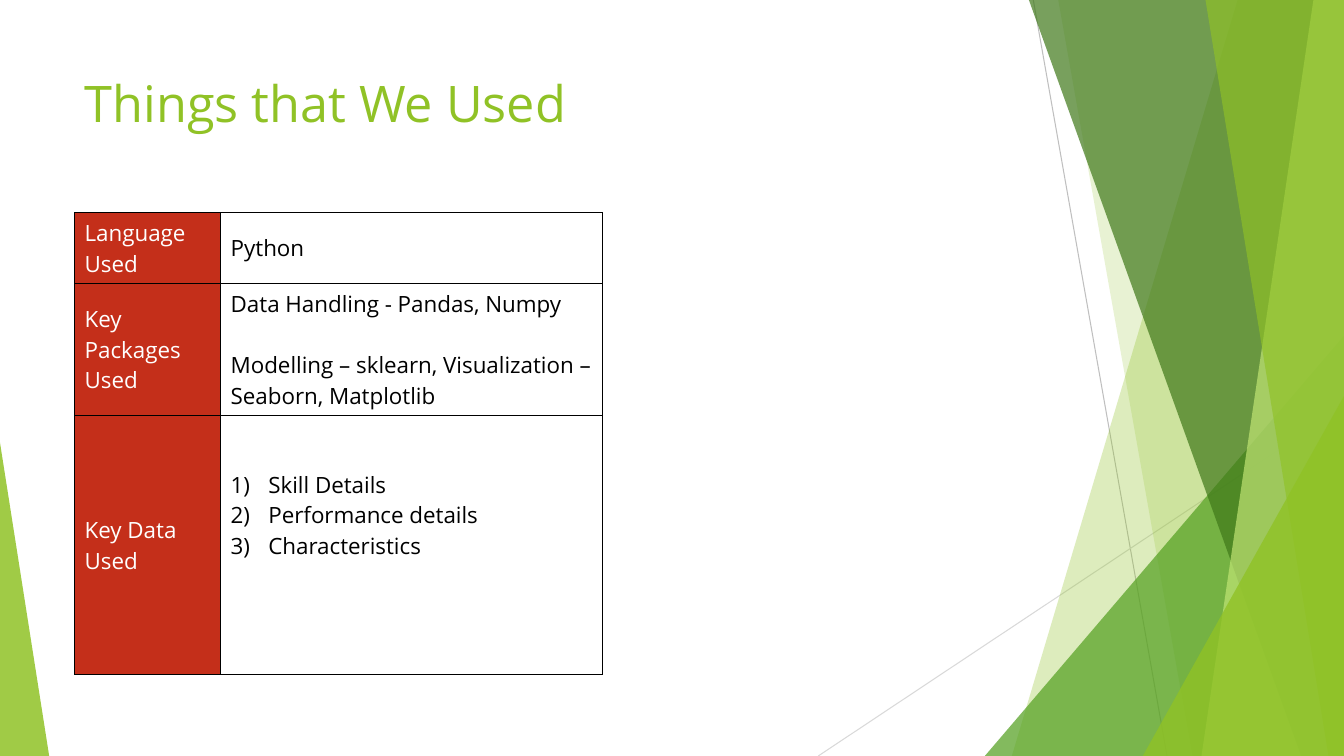
"""Build the "Things that We Used" slide with its table and green facet decoration."""
from lxml import etree
from pptx import Presentation
from pptx.dml.color import RGBColor
from pptx.enum.shapes import MSO_CONNECTOR, MSO_SHAPE
from pptx.enum.text import MSO_ANCHOR, MSO_AUTO_SIZE, PP_ALIGN
from pptx.oxml import parse_xml
from pptx.oxml.ns import nsdecls, qn
from pptx.util import Cm, Pt

LIME = RGBColor(0x90, 0xC2, 0x26)
GREEN = RGBColor(0x54, 0xA0, 0x21)
FOREST = RGBColor(0x3F, 0x78, 0x19)
PALE_LIME = RGBColor(0xC0, 0xE4, 0x74)
RED = RGBColor(0xC4, 0x2F, 0x1A)
WHITE = RGBColor(0xFF, 0xFF, 0xFF)
BLACK = RGBColor(0, 0, 0)
GRAY = RGBColor(0xBF, 0xBF, 0xBF)
LIGHT_GRAY = RGBColor(0xD9, 0xD9, 0xD9)
WIDTH, HEIGHT = 33.87, 19.05


def write(paragraph, text, size=16, color=BLACK, space_before=0, numbered=False):
    run = paragraph.add_run()
    run.text = text
    run.font.name = "Open Sans"
    run.font.size = Pt(size)
    run.font.bold = False
    run.font.color.rgb = color
    paragraph.alignment = PP_ALIGN.LEFT
    paragraph.space_before = Pt(space_before)
    if numbered:
        properties = paragraph._p.get_or_add_pPr()
        properties.set("marL", str(Cm(0.95)))
        properties.set("indent", str(-Cm(0.95)))
        etree.SubElement(properties, qn("a:buAutoNum"), type="arabicParenR")


def paint(shape, color, opacity):
    shape.shadow.inherit = False
    shape.line.fill.background()
    shape.fill.solid()
    shape.fill.fore_color.rgb = color
    color_node = shape._element.spPr.find(qn("a:solidFill"))[0]
    etree.SubElement(color_node, qn("a:alpha"), val=str(opacity * 1000))


presentation = Presentation()
presentation.slide_width, presentation.slide_height = Cm(WIDTH), Cm(HEIGHT)
slide = presentation.slides.add_slide(presentation.slide_layouts[5])
shapes = slide.shapes

rays = [(26.04, 0, 29.41, HEIGHT, GRAY), (WIDTH, 10.24, 20.62, HEIGHT, LIGHT_GRAY)]
for start_x, start_y, end_x, end_y, color in rays:
    ray = shapes.add_connector(
        MSO_CONNECTOR.STRAIGHT, Cm(start_x), Cm(start_y), Cm(end_x), Cm(end_y))
    ray.line.color.rgb = color
    ray.line.width = Pt(0.75)
    etree.SubElement(ray._element.spPr, qn("a:effectLst"))

facets = [
    ("panel", 31.19, 25.5, LIME, 30),
    ("panel", 26.67, 30.05, LIME, 20),
    ("right triangle", 24.82, 8.46, GREEN, 72),
    ("panel", 25.93, 32.79, FOREST, 70),
    ("panel", 33.1, 30.28, PALE_LIME, 70),
    ("panel", 30.38, 33.48, LIME, 65),
    ("right triangle", 28.8, 9.98, LIME, 80),
    ("left triangle", 1.24, 11.15, LIME, 85),
]
for kind, first, second, color, opacity in facets:
    if kind == "panel":
        builder = shapes.build_freeform(Cm(first), 0)
        builder.add_line_segments(
            [(Cm(WIDTH), 0), (Cm(WIDTH), Cm(HEIGHT)), (Cm(second), Cm(HEIGHT))])
        facet = builder.convert_to_shape()
    else:
        on_right = kind == "right triangle"
        left, right = (first, WIDTH) if on_right else (0, first)
        facet = shapes.add_shape(
            MSO_SHAPE.ISOSCELES_TRIANGLE,
            Cm(left), Cm(second), Cm(right - left), Cm(HEIGHT - second))
        facet.adjustments[0] = 1 if on_right else 0
    paint(facet, color, opacity)

title = shapes.title
title.left, title.top, title.width, title.height = Cm(1.88), Cm(1.7), Cm(23.88), Cm(3.66)
title.text_frame.vertical_anchor = MSO_ANCHOR.TOP
title.text_frame.auto_size = MSO_AUTO_SIZE.NONE
title.text_frame.word_wrap = True
write(title.text_frame.paragraphs[0], "Things that We Used", size=36, color=LIME)

rows = [
    (1.73, "Language Used", ["Python"]),
    (3.18, "Key Packages Used", [
        "Data Handling - Pandas, Numpy",
        "Modelling – sklearn, Visualization – Seaborn, Matplotlib"]),
    (6.53, "Key Data Used", ["Skill Details", "Performance details", "Characteristics"]),
]
column_widths = [3.68, 9.63]
table = shapes.add_table(
    len(rows), 2, Cm(1.88), Cm(5.36), Cm(sum(column_widths)),
    Cm(sum(row[0] for row in rows))).table
table.first_row = table.horz_banding = False
for column, width in zip(table.columns, column_widths):
    column.width = Cm(width)

for row_index, (height, label, details) in enumerate(rows):
    table.rows[row_index].height = Cm(height)
    is_data = label == "Key Data Used"
    columns = [([label], RED, WHITE), (details, WHITE, BLACK)]
    for column_index, (lines, fill_color, text_color) in enumerate(columns):
        cell = table.cell(row_index, column_index)
        cell.vertical_anchor = MSO_ANCHOR.MIDDLE
        for side in ("lnL", "lnR", "lnT", "lnB"):
            cell._tc.get_or_add_tcPr().append(parse_xml(
                f'<a:{side} {nsdecls("a")} w="{Pt(1)}"><a:solidFill>'
                f'<a:srgbClr val="{BLACK}"/></a:solidFill></a:{side}>'))
        cell.fill.solid()
        cell.fill.fore_color.rgb = fill_color
        numbered = is_data and column_index == 1
        if numbered:
            cell.margin_bottom = Cm(1.65)
        for line_index, line in enumerate(lines):
            frame = cell.text_frame
            paragraph = frame.add_paragraph() if line_index else frame.paragraphs[0]
            gap = 22 if line_index and not numbered else 0
            write(paragraph, line, color=text_color, space_before=gap, numbered=numbered)

presentation.save("out.pptx")
